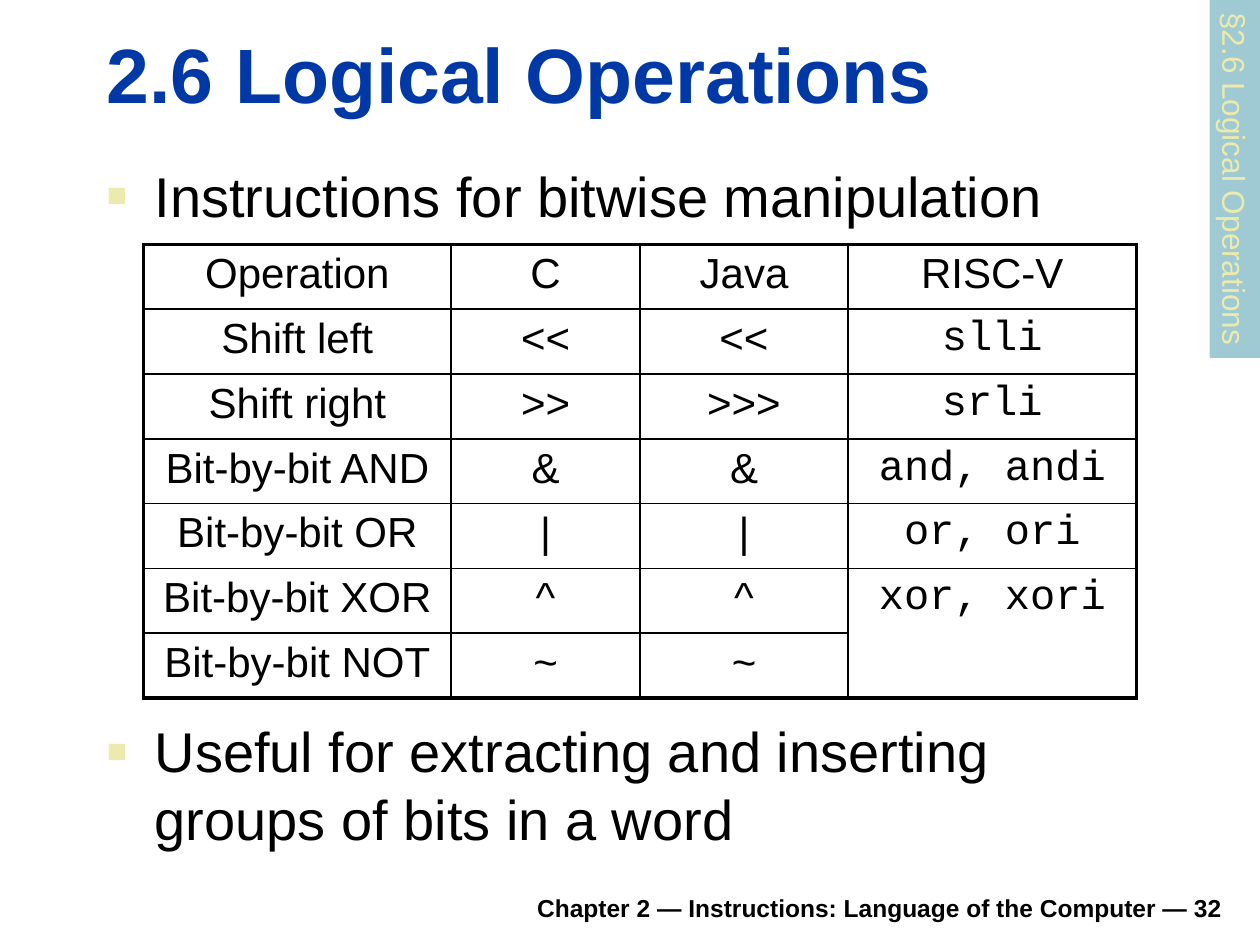
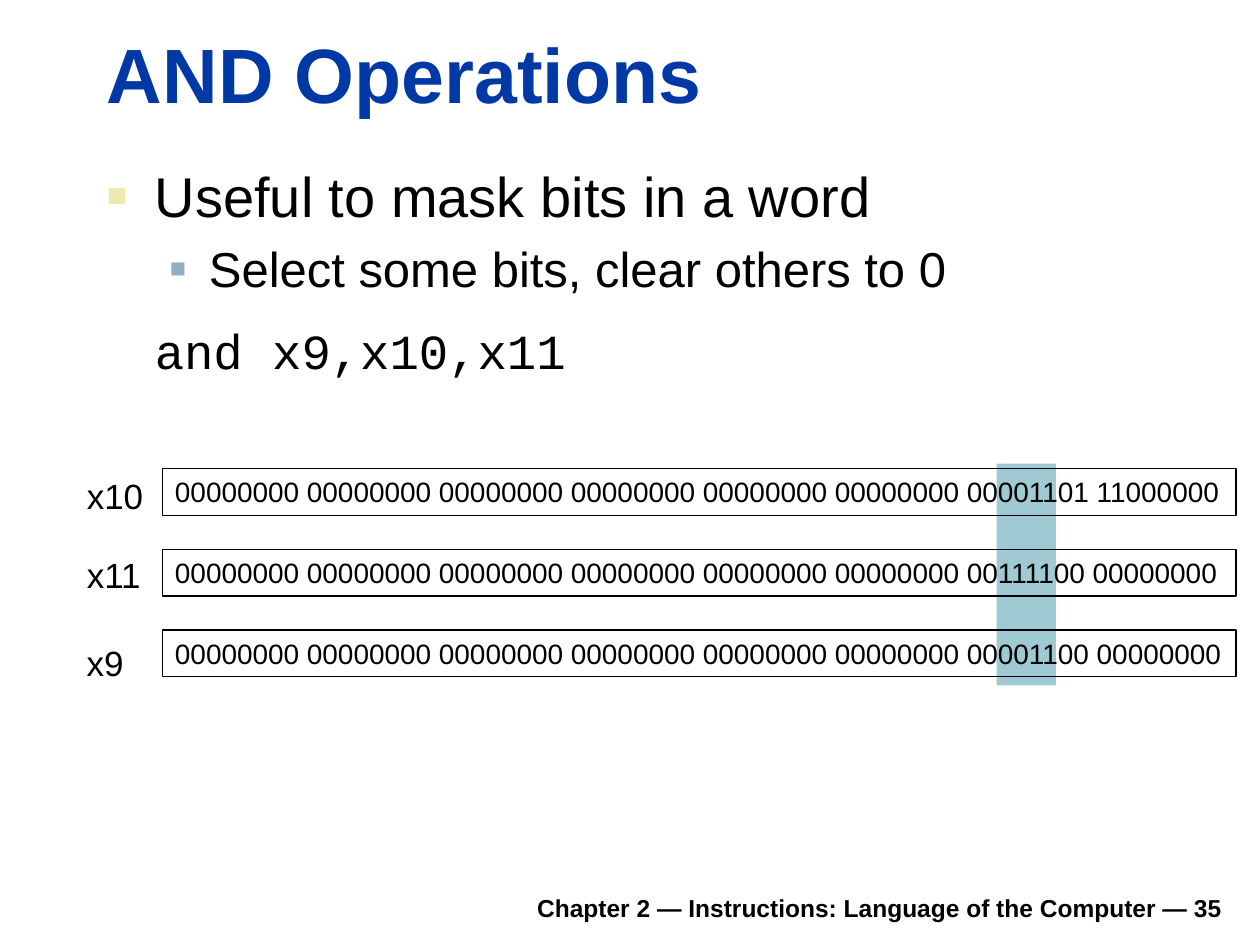
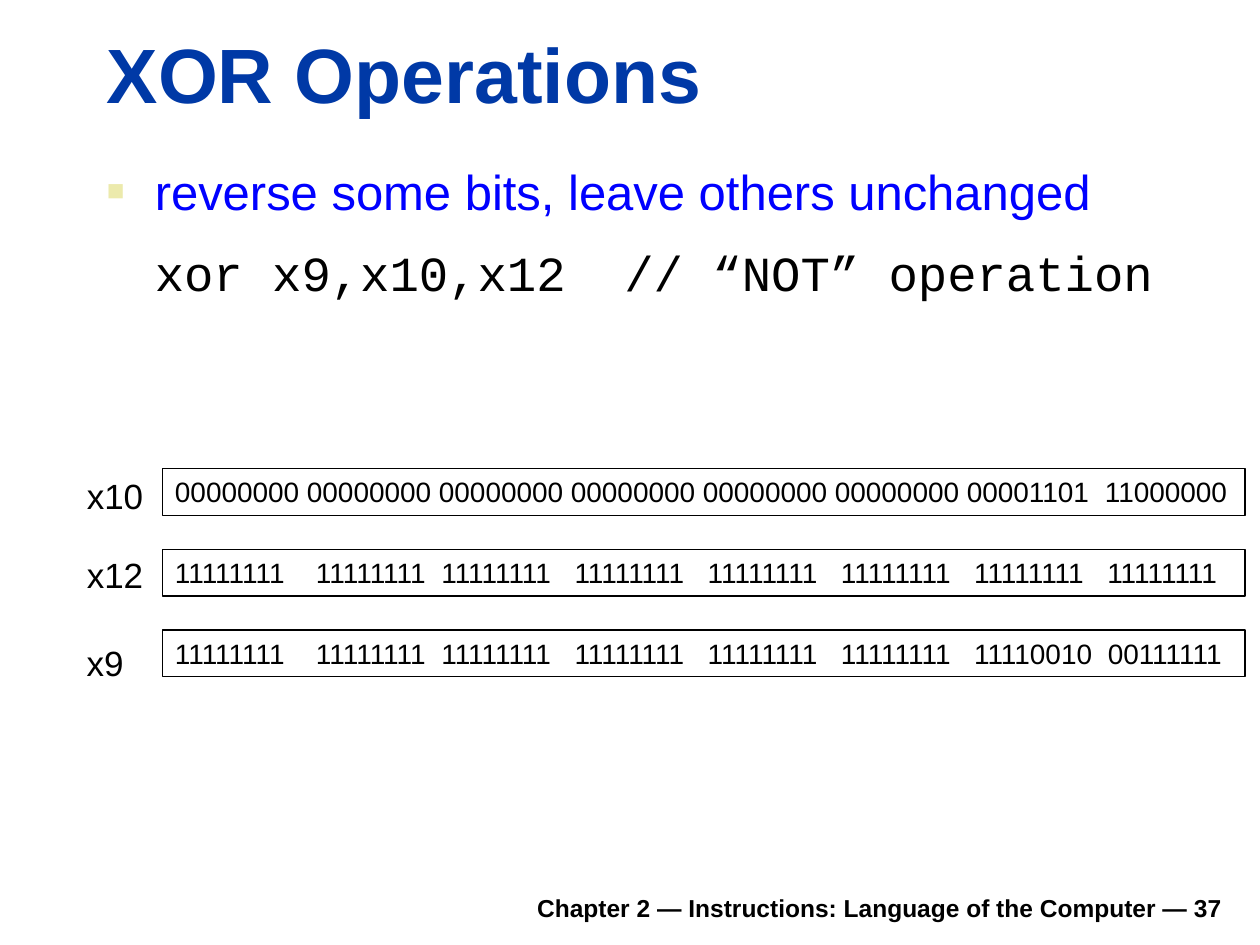
"""Build three slides on logical operations in RISC-V."""
from dataclasses import dataclass

from lxml.etree import SubElement
from pptx import Presentation
from pptx.dml.color import RGBColor
from pptx.enum.shapes import MSO_SHAPE
from pptx.enum.text import MSO_ANCHOR, PP_ALIGN
from pptx.oxml.ns import qn
from pptx.util import Inches, Pt


@dataclass(frozen=True)
class Theme:
    black: str = "000000"
    title_blue: str = "0039A6"
    emphasis: str = "0000FF"
    band: str = "9FCAD3"
    cream: str = "ECEAAC"
    sub_bullet: str = "91AFBF"
    sans: str = "Arial"
    mono: str = "Courier New"
    title: int = 44
    body: int = 32
    sub: int = 28
    cell: int = 24
    label: int = 20
    tab: int = 18
    bits: int = 16
    footer: int = 14


theme = Theme()


def write(paragraph, text, size, color=theme.black, font=theme.sans, bold=False,
          bullet=None, margin=0, hang=0, before=None, tracking=0):
    props = paragraph._p.get_or_add_pPr()
    props.set("marL", str(Inches(margin)))
    props.set("indent", str(-Inches(hang)))
    if bullet:
        bullet_color, percent = bullet
        SubElement(SubElement(props, qn("a:buClr")), qn("a:srgbClr")).set("val", bullet_color)
        SubElement(props, qn("a:buSzPct")).set("val", str(percent * 1000))
        SubElement(props, qn("a:buFont")).set("typeface", theme.sans)
        SubElement(props, qn("a:buChar")).set("char", "■")
    if before:
        paragraph.space_before = Pt(before)
    run = paragraph.add_run()
    run.text = text
    run.font.size = Pt(size)
    run.font.name = font
    run.font.bold = bold
    run.font.color.rgb = RGBColor.from_string(color)
    if tracking:
        run._r.get_or_add_rPr().set("spc", str(round(tracking * 100)))


def add_frame(slide, left, top, width, height, anchor=MSO_ANCHOR.TOP, wrap=True,
              fill=None, outlined=False):
    place = [Inches(length) for length in (left, top, width, height)]
    if fill or outlined:
        shape = slide.shapes.add_shape(MSO_SHAPE.RECTANGLE, *place)
        shape.shadow.inherit = False
    else:
        shape = slide.shapes.add_textbox(*place)
    if fill:
        shape.fill.solid()
        shape.fill.fore_color.rgb = RGBColor.from_string(fill)
    else:
        shape.fill.background()
    if outlined:
        shape.line.color.rgb = RGBColor.from_string(theme.black)
        shape.line.width = Pt(0.75)
    else:
        shape.line.fill.background()
    shape.text_frame.word_wrap = wrap
    shape.text_frame.vertical_anchor = anchor
    shape.text_frame.paragraphs[0].alignment = PP_ALIGN.LEFT
    return shape


deck = Presentation()
deck.slide_width = Inches(10)
deck.slide_height = Inches(7.5)

slides = []
for heading, number in (("2.6 Logical Operations", 32), ("AND Operations", 35),
                        ("XOR Operations", 37)):
    slide = deck.slides.add_slide(deck.slide_layouts[6])
    footer = add_frame(slide, 1.85, 6.98, 7.95, 0.39, MSO_ANCHOR.BOTTOM)
    footer_line = footer.text_frame.paragraphs[0]
    write(footer_line, f"Chapter 2 — Instructions: Language of the Computer — {number}",
          theme.footer, bold=True)
    footer_line.alignment = PP_ALIGN.RIGHT
    title = add_frame(slide, 0.75, 0.16, 9.03, 0.83, MSO_ANCHOR.BOTTOM)
    write(title.text_frame.paragraphs[0], heading, theme.title, theme.title_blue, bold=True)
    slides.append(slide)
overview, and_slide, xor_slide = slides

main_point = dict(bullet=(theme.cream, 60), margin=0.38, hang=0.38)
sub_point = dict(bullet=(theme.sub_bullet, 55), margin=0.81, hang=0.31, before=6)
code_line = dict(font=theme.mono, margin=0.38, before=13)

bodies = (
    (overview, 1.23, 9.05, 0.76,
     [("Instructions for bitwise manipulation", theme.body, main_point)]),
    (overview, 5.64, 8.5, 1.02,
     [("Useful for extracting and inserting groups of bits in a word",
       theme.body, main_point)]),
    (and_slide, 1.23, 9.05, 2.27,
     [("Useful to mask bits in a word", theme.body, main_point),
      ("Select some bits, clear others to 0", theme.sub, sub_point),
      ("and x9,x10,x11", theme.sub, code_line)]),
    (xor_slide, 1.23, 9.05, 2.27,
     [("reverse some bits, leave others unchanged", theme.sub,
       main_point | {"color": theme.emphasis}),
      ("xor x9,x10,x12  // “NOT” operation", theme.sub, code_line)]),
)
for slide, top, width, height, points in bodies:
    body = add_frame(slide, 0.75, top, width, height).text_frame
    for index, (text, size, style) in enumerate(points):
        write(body.add_paragraph() if index else body.paragraphs[0], text, size, **style)

operations = (
    ("Operation", "C", "Java", "RISC-V"),
    ("Shift left", "<<", "<<", "slli"),
    ("Shift right", ">>", ">>>", "srli"),
    ("Bit-by-bit AND", "&", "&", "and, andi"),
    ("Bit-by-bit OR", "|", "|", "or, ori"),
    ("Bit-by-bit XOR", "^", "^", "xor, xori"),
    ("Bit-by-bit NOT", "~", "~", ""),
)
last_row, last_column = len(operations) - 1, len(operations[0]) - 1
table = overview.shapes.add_table(last_row + 1, last_column + 1, Inches(1.14), Inches(1.94),
                                  Inches(7.88), Inches(3.6)).table
table.first_row = False
table.horz_banding = False
for column, width in zip(table.columns, (2.44, 1.5, 1.65, 2.29)):
    column.width = Inches(width)
table.cell(last_row - 1, last_column).merge(table.cell(last_row, last_column))

for row, entries in enumerate(operations):
    for column, entry in enumerate(entries):
        cell = table.cell(row, column)
        bottom_row = row + cell.span_height - 1 if cell.is_merge_origin else row
        borders = {
            "a:lnL": 2.25 if column == 0 else 1,
            "a:lnR": 2.25 if column == last_column else 1,
            "a:lnT": {0: 2.25, 1: 1.5}.get(row, 1),
            "a:lnB": {0: 1.5, last_row: 2.25}.get(bottom_row, 1),
        }
        if cell.is_spanned:
            del borders["a:lnT"]
        cell_props = cell._tc.get_or_add_tcPr()
        for side, weight in borders.items():
            border = SubElement(cell_props, qn(side), w=str(Pt(weight)))
            SubElement(SubElement(border, qn("a:solidFill")),
                       qn("a:srgbClr")).set("val", theme.black)
        cell.fill.background()
        if entry:
            cell_line = cell.text_frame.paragraphs[0]
            cell_line.alignment = PP_ALIGN.CENTER
            write(cell_line, entry, theme.cell,
                  font=theme.mono if row and column == last_column else theme.sans)

section_tab = add_frame(overview, 8.38, 1.22, 2.84, 0.4, wrap=False, fill=theme.band)
section_tab.rotation = 90
write(section_tab.text_frame.paragraphs[0], "§2.6 Logical Operations", theme.tab, theme.cream)

add_frame(and_slide, 7.91, 3.68, 0.47, 1.76, fill=theme.band)

zeros, ones = "0" * 8, "1" * 8
even_gaps = [1] * 7
registers = (
    (and_slide, 8.52, (
        ("x10", [zeros] * 6 + ["00001101", "11000000"], even_gaps),
        ("x11", [zeros] * 6 + ["00111100", zeros], even_gaps),
        ("x9", [zeros] * 6 + ["00001100", zeros], even_gaps))),
    (xor_slide, 8.59, (
        ("x10", [zeros] * 6 + ["00001101", "11000000"], [1] * 6 + [2]),
        ("x12", [ones] * 8, [4, 2] + [3] * 5),
        ("x9", [ones] * 6 + ["11110010", "00111111"], [4, 2] + [3] * 4 + [2]))),
)
space_width = 0.28 * theme.bits
for slide, width, words in registers:
    for index, ((register, word, gaps), label_top) in enumerate(
            zip(words, (3.72, 4.34, 5.04))):
        bits = add_frame(slide, 1.29, 3.72 + 0.64 * index, width, 0.37, outlined=True)
        bits.text_frame.margin_right = 0
        bit_line = bits.text_frame.paragraphs[0]
        write(bit_line, word[0], theme.bits)
        for gap, byte in zip(gaps, word[1:]):
            write(bit_line, " ", theme.bits, tracking=(gap - 1) * space_width)
            write(bit_line, byte, theme.bits)
        label = add_frame(slide, 0.59, label_top, 0.5 if register == "x9" else 0.65, 0.44,
                          wrap=False)
        write(label.text_frame.paragraphs[0], register, theme.label)

deck.save("out.pptx")
